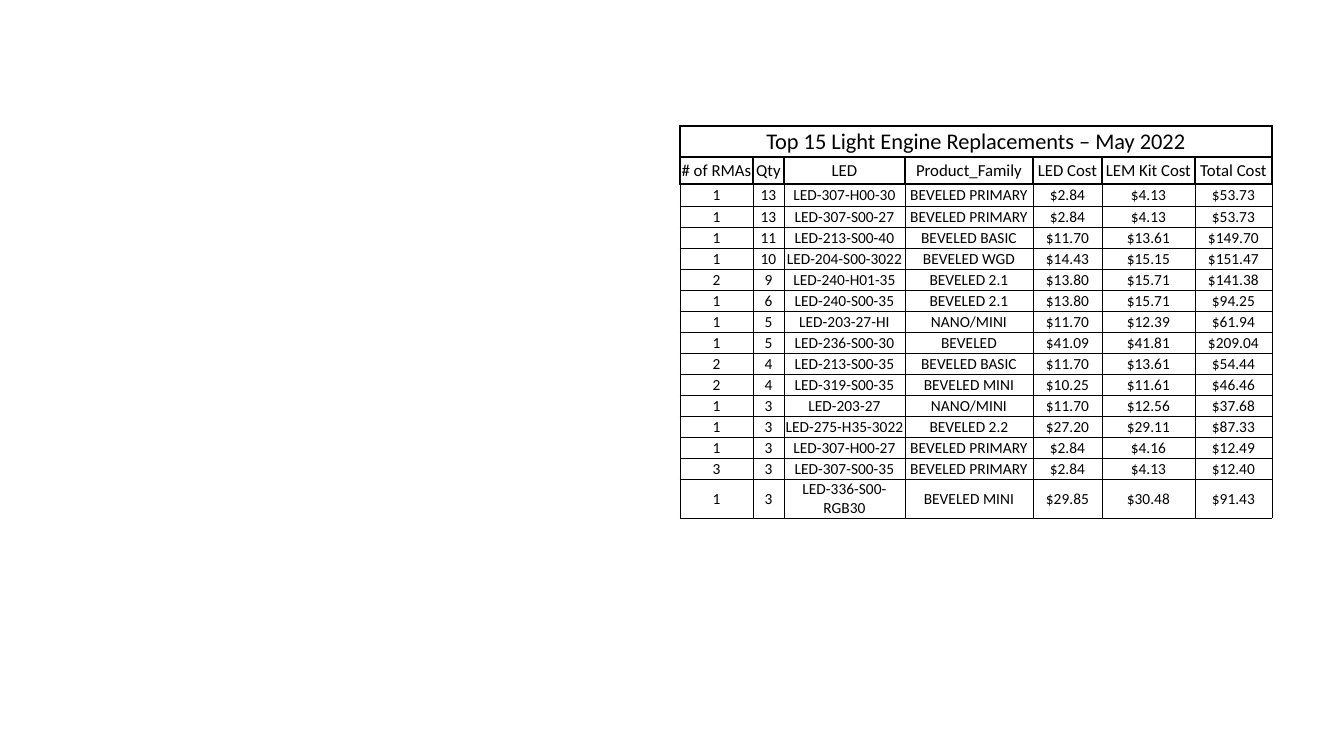
from lxml import etree
from pptx import Presentation
from pptx.dml.color import RGBColor
from pptx.enum.text import MSO_ANCHOR, PP_ALIGN
from pptx.oxml.ns import qn
from pptx.util import Pt

PX = 914400 / 100.8
MIDDLE = MSO_ANCHOR.MIDDLE
CENTER = PP_ALIGN.CENTER
COLORS = {"paper": "FFFFFF", "ink": "000000"}
THIN, THICK = 0.5, 1.5

TITLE = "Top 15 Light Engine Replacements – May 2022"
HEADERS = ["# of RMAs", "Qty", "LED", "Product_Family", "LED Cost", "LEM Kit Cost", "Total Cost"]
REPLACEMENTS = [
    ["1", "13", "LED-307-H00-30", "BEVELED PRIMARY", "$2.84", "$4.13", "$53.73"],
    ["1", "13", "LED-307-S00-27", "BEVELED PRIMARY", "$2.84", "$4.13", "$53.73"],
    ["1", "11", "LED-213-S00-40", "BEVELED BASIC", "$11.70", "$13.61", "$149.70"],
    ["1", "10", "LED-204-S00-3022", "BEVELED WGD", "$14.43", "$15.15", "$151.47"],
    ["2", "9", "LED-240-H01-35", "BEVELED 2.1", "$13.80", "$15.71", "$141.38"],
    ["1", "6", "LED-240-S00-35", "BEVELED 2.1", "$13.80", "$15.71", "$94.25"],
    ["1", "5", "LED-203-27-HI", "NANO/MINI", "$11.70", "$12.39", "$61.94"],
    ["1", "5", "LED-236-S00-30", "BEVELED", "$41.09", "$41.81", "$209.04"],
    ["2", "4", "LED-213-S00-35", "BEVELED BASIC", "$11.70", "$13.61", "$54.44"],
    ["2", "4", "LED-319-S00-35", "BEVELED MINI", "$10.25", "$11.61", "$46.46"],
    ["1", "3", "LED-203-27", "NANO/MINI", "$11.70", "$12.56", "$37.68"],
    ["1", "3", "LED-275-H35-3022", "BEVELED 2.2", "$27.20", "$29.11", "$87.33"],
    ["1", "3", "LED-307-H00-27", "BEVELED PRIMARY", "$2.84", "$4.16", "$12.49"],
    ["3", "3", "LED-307-S00-35", "BEVELED PRIMARY", "$2.84", "$4.13", "$12.40"],
    ["1", "3", "LED-336-S00-RGB30", "BEVELED MINI", "$29.85", "$30.48", "$91.43"],
]
COLUMN_WIDTHS = [73, 31, 121, 128, 69, 93, 77]
ROW_HEIGHTS = [31, 27, 22] + [21] * (len(REPLACEMENTS) - 1)


def px(length):
    return round(length * PX)


def set_borders(cell, widths):
    properties = cell._tc.get_or_add_tcPr()
    for side, width in widths.items():
        line = etree.SubElement(properties, qn(f"a:ln{side}"), w=str(Pt(width)))
        fill = etree.SubElement(line, qn("a:solidFill"))
        etree.SubElement(fill, qn("a:srgbClr"), val=COLORS["ink"])


deck = Presentation()
deck.slide_width, deck.slide_height = px(1344), px(756)
page = deck.slides.add_slide(deck.slide_layouts.get_by_name("Blank"))

rows = [[TITLE] + [""] * (len(HEADERS) - 1), HEADERS] + REPLACEMENTS
frame = page.shapes.add_table(
    len(rows), len(HEADERS), px(680), px(126), px(sum(COLUMN_WIDTHS)), px(sum(ROW_HEIGHTS))
)
table = frame.table
for column, width in zip(table.columns, COLUMN_WIDTHS):
    column.width = px(width)
for row, height in zip(table.rows, ROW_HEIGHTS):
    row.height = px(height)

for row_index, texts in enumerate(rows):
    size = {0: 16, 1: 12}.get(row_index, 11)
    edge = THICK if row_index < 2 else THIN
    top = THICK if row_index < 3 else THIN
    for column_index, text in enumerate(texts):
        cell = table.cell(row_index, column_index)
        set_borders(cell, {"L": edge, "R": edge, "T": top, "B": edge})
        cell.fill.solid()
        cell.fill.fore_color.rgb = RGBColor.from_string(COLORS["paper"])
        cell.margin_left = cell.margin_right = cell.margin_top = px(1)
        cell.margin_bottom = 0
        cell.vertical_anchor = MIDDLE
        cell.text = text
        para = cell.text_frame.paragraphs[0]
        para.alignment = CENTER
        para.font.name = "Calibri"
        para.font.size = Pt(size)
        para.font.bold = False
        para.font.color.rgb = RGBColor.from_string(COLORS["ink"])

table.cell(0, 0).merge(table.cell(0, len(HEADERS) - 1))
deck.save("out.pptx")
